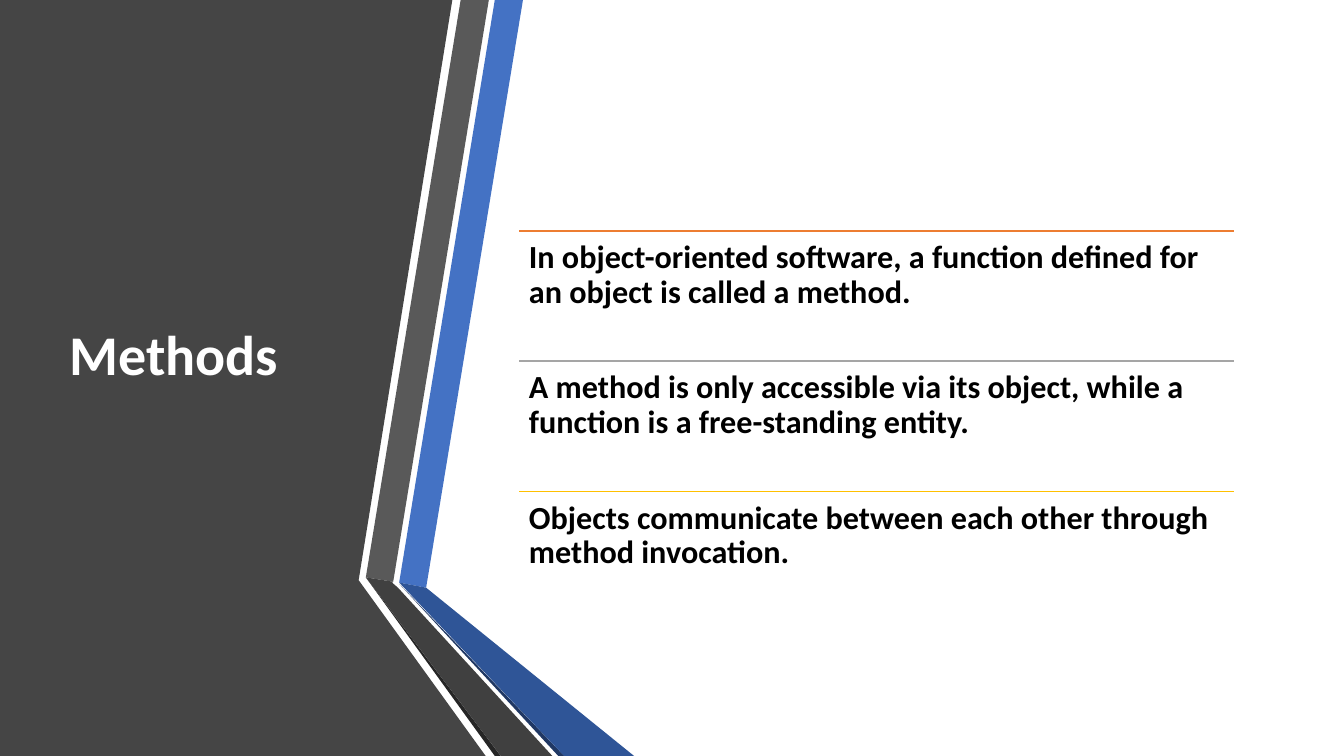
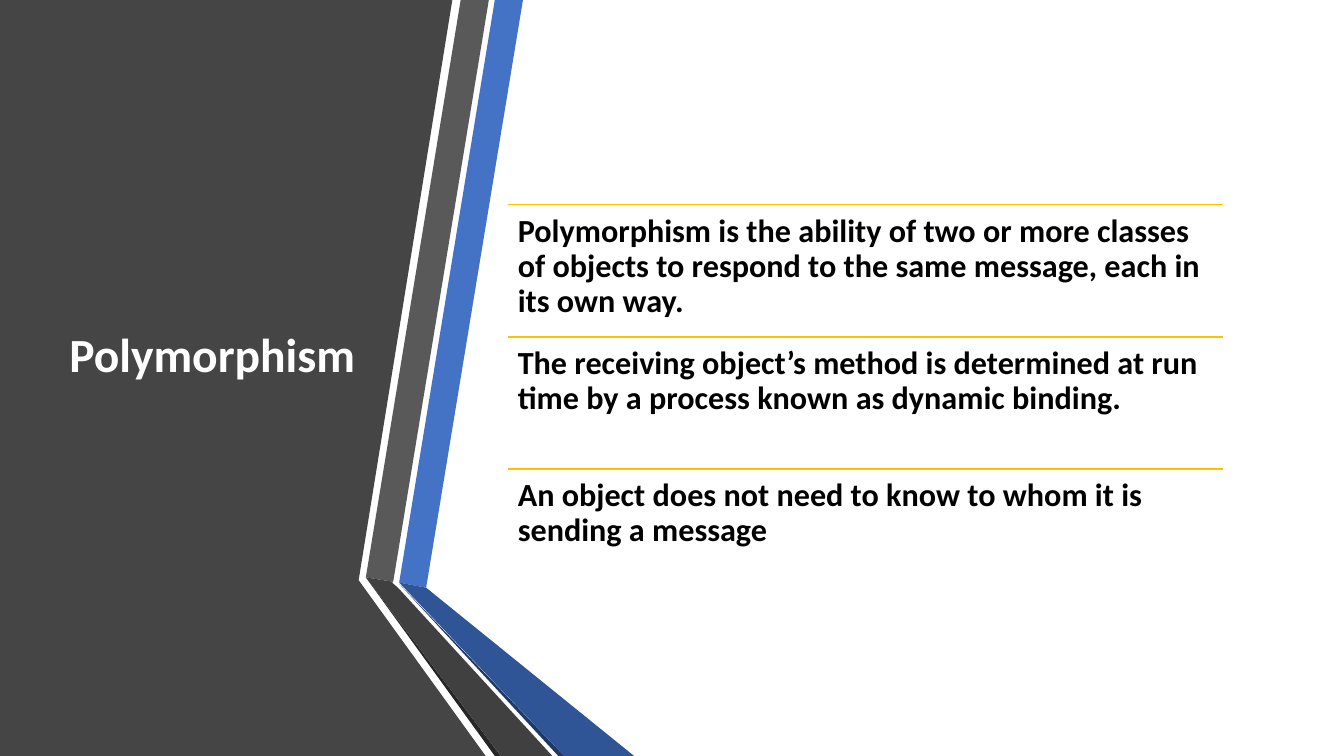
"""Build two slides on object methods and polymorphism."""
from lxml import etree
from pptx import Presentation
from pptx.dml.color import RGBColor
from pptx.enum.shapes import MSO_CONNECTOR
from pptx.enum.text import MSO_ANCHOR
from pptx.oxml.ns import qn
from pptx.util import Cm, Pt

STRAIGHT = MSO_CONNECTOR.STRAIGHT
TOP, MIDDLE = MSO_ANCHOR.TOP, MSO_ANCHOR.MIDDLE

WHITE = RGBColor(0xFF, 0xFF, 0xFF)
BLACK = RGBColor(0x00, 0x00, 0x00)
CHARCOAL = RGBColor(0x45, 0x45, 0x45)
GREY = RGBColor(0x59, 0x59, 0x59)
DARK_GREY = RGBColor(0x40, 0x40, 0x40)
DEEP_GREY = RGBColor(0x26, 0x26, 0x26)
BLUE = RGBColor(0x44, 0x72, 0xC4)
DARK_BLUE = RGBColor(0x2F, 0x55, 0x97)
DEEP_BLUE = RGBColor(0x20, 0x38, 0x64)
ORANGE = RGBColor(0xED, 0x7D, 0x31)
SILVER = RGBColor(0xA5, 0xA5, 0xA5)
GOLD = RGBColor(0xFF, 0xC0, 0x00)

FONT = "Calibri"
WIDTH, HEIGHT = 33.87, 19.05
TITLE_BOX = (1.5, 1.91, 7.72, 14.17)
ROW_WIDTH = 18.03

BANDS = [
    (CHARCOAL, [(0, 0), (11.4, 0), (9.04, 14.62), (12.24, HEIGHT), (0, HEIGHT)]),
    (BLUE, [(10.06, 14.68), (10.74, 14.81), (13.18, 0), (12.47, 0)]),
    (GREY, [(12.32, 0), (11.61, 0), (9.22, 14.55), (9.91, 14.66)]),
    (DEEP_GREY, [(9.22, 14.55), (12.47, HEIGHT), (12.62, HEIGHT)]),
    (DEEP_BLUE, [(10.06, 14.71), (14.07, HEIGHT), (14.22, HEIGHT)]),
    (DARK_BLUE, [(10.06, 14.68), (14.22, HEIGHT), (15.98, HEIGHT), (10.74, 14.81)]),
    (DARK_GREY, [(13.92, HEIGHT), (10.03, 14.81), (9.88, 14.68), (9.91, 14.66),
                 (9.22, 14.55), (12.62, HEIGHT)]),
]

SLIDES = [
    {"title": "Methods", "size": 40, "left": 13.08, "top": 5.82, "step": 3.28,
     "last": 2.57,
     "rows": [
         (ORANGE, "In object-oriented software, a function defined for an object "
                  "is called a method."),
         (SILVER, "A method is only accessible via its object, while a function "
                  "is a free-standing entity."),
         (GOLD, "Objects communicate between each other through method invocation."),
     ]},
    {"title": "Polymorphism", "size": 34, "left": 12.8, "top": 5.16, "step": 3.33,
     "last": 3.33,
     "rows": [
         (GOLD, "Polymorphism is the ability of two or more classes of objects to "
                "respond to the same message, each in its own way."),
         (GOLD, "The receiving object’s method is determined at run time by a "
                "process known as dynamic binding."),
         (GOLD, "An object does not need to know to whom it is sending a message"),
     ]},
]


def add_text(s, text, box, *, size, color, anchor=TOP, inset_y=0.25):
    tf = s.shapes.add_textbox(*map(Cm, box)).text_frame
    tf.word_wrap = True
    tf.vertical_anchor = anchor
    tf.margin_left = tf.margin_right = Cm(0.25)
    tf.margin_top = tf.margin_bottom = Cm(inset_y)
    p = tf.paragraphs[0]
    p.line_spacing = 0.9
    r = p.add_run()
    r.text = text
    r.font.name, r.font.size, r.font.bold = FONT, Pt(size), True
    r.font.color.rgb = color


def add_band(s, color, points):
    start, *rest = [(Cm(x), Cm(y)) for x, y in points]
    builder = s.shapes.build_freeform(*start)
    builder.add_line_segments(rest, close=True)
    sp = builder.convert_to_shape()
    sp.shadow.inherit = False
    sp.fill.solid()
    sp.fill.fore_color.rgb = color
    sp.line.fill.background()


def add_rule(s, left, top, color):
    rule = s.shapes.add_connector(
        STRAIGHT, Cm(left), Cm(top), Cm(left + ROW_WIDTH), Cm(top))
    rule.line.color.rgb = color
    rule.line.width = Pt(1)
    etree.SubElement(rule._element.spPr, qn("a:effectLst"))


def add_slide(prs, content):
    s = prs.slides.add_slide(prs.slide_layouts[6])
    for color, points in BANDS:
        add_band(s, color, points)
    add_text(s, content["title"], TITLE_BOX, size=content["size"], color=WHITE,
             anchor=MIDDLE, inset_y=0.13)
    left, step, rows = content["left"], content["step"], content["rows"]
    for i, (color, text) in enumerate(rows):
        top = content["top"] + i * step
        height = content["last"] if i == len(rows) - 1 else step
        add_rule(s, left, top, color)
        add_text(s, text, (left, top, ROW_WIDTH, height), size=23, color=BLACK)


def main():
    prs = Presentation()
    prs.slide_width, prs.slide_height = Cm(WIDTH), Cm(HEIGHT)
    for content in SLIDES:
        add_slide(prs, content)
    prs.save("out.pptx")


if __name__ == "__main__":
    main()
